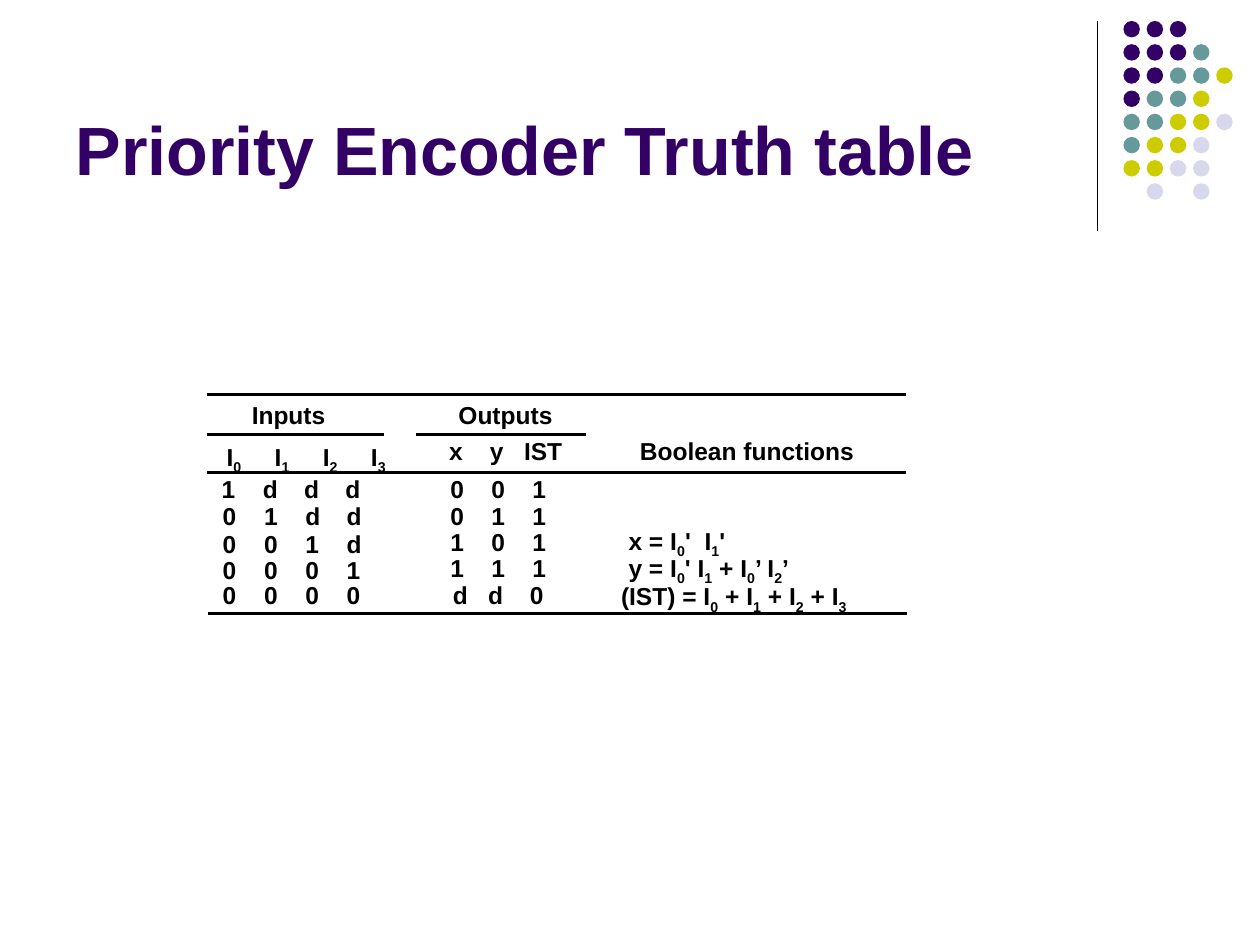
"""Build a slide with the truth table of a priority encoder."""
from lxml import etree
from pptx import Presentation
from pptx.dml.color import RGBColor
from pptx.enum.shapes import MSO_CONNECTOR, MSO_SHAPE
from pptx.enum.text import MSO_ANCHOR, PP_ALIGN
from pptx.oxml.ns import qn
from pptx.util import Pt

STRAIGHT = MSO_CONNECTOR.STRAIGHT
OVAL = MSO_SHAPE.OVAL
BOTTOM = MSO_ANCHOR.BOTTOM
LEFT = PP_ALIGN.LEFT
FONT = "Arial"
COLORS = {"black": "000000", "P": "330066", "T": "669999", "Y": "CCCC00", "L": "D8D8EC"}
DOT_ROWS = ["PPP", "PPPT", "PPTTY", "PTTY", "TTYYL", "TYYL", "YYLL", " L L"]
LINE_HEIGHT, TALL_HEIGHT, SUBSCRIPT_HEIGHT = 22.3, 37.4, 24.5
INPUT_STOPS = (23.6, 47.2, 70.8)
OUTPUT_STOPS = (23.4, 46.8)
INPUT_ROWS = [
    (119.5, 269.3, TALL_HEIGHT, "1\td\td\td"),
    (120.2, 284.4, TALL_HEIGHT, "0\t1\td\td"),
    (120.2, 300.6, TALL_HEIGHT, "0\t0\t1\td"),
    (120.2, 315.7, LINE_HEIGHT, "0\t0\t0\t1"),
    (120.2, 329.8, LINE_HEIGHT, "0\t0\t0\t0"),
]
OUTPUT_ROWS = [
    (269.3, TALL_HEIGHT, "0\t0\t1"),
    (284.4, TALL_HEIGHT, "0\t1\t1"),
    (299.5, TALL_HEIGHT, "1\t0\t1"),
    (314.6, LINE_HEIGHT, "1\t1\t1"),
]
FUNCTIONS = [
    (352.1, 297.4, 71, "x = I_0'\tI_1'", (43.4,)),
    (352.1, 312.5, 108, "y = I_0' I_1 + I_0’ I_2’", ()),
    (347.8, 329, 153, "(IST) = I_0 + I_1 + I_2 + I_3", ()),
]
HEADINGS = [
    (136.8, 226.8, 58, "Inputs"),
    (254.9, 226.8, 70, "Outputs"),
    (358.6, 247.7, 138, "Boolean functions"),
]
RULES = [
    (118.1, 517.7, 225.4),
    (118.1, 219.6, 248.4),
    (237.6, 334.8, 248.4),
    (118.1, 517.7, 270),
    (118.8, 518.4, 350.6),
]


def color(name):
    return RGBColor.from_string(COLORS[name])


def add_span(para, text, size, shade):
    span = para.add_run()
    span.text = text
    span.font.name = FONT
    span.font.size = Pt(size)
    span.font.bold = True
    span.font.color.rgb = color(shade)
    return span


def add_subscript(para, text):
    span = add_span(para, text, 14, "black")
    span._r.get_or_add_rPr().set("baseline", "-25000")


def add_stops(para, stops):
    tab_list = etree.SubElement(para._p.get_or_add_pPr(), qn("a:tabLst"))
    for stop in stops:
        etree.SubElement(tab_list, qn("a:tab"), pos=str(int(Pt(stop))), algn="l")


def add_label(page, left, top, width, height, text, stops=()):
    """Add bold text in which an underscore makes the next character a subscript."""
    box = page.shapes.add_textbox(Pt(left), Pt(top), Pt(width), Pt(height))
    box.text_frame.word_wrap = True
    para = box.text_frame.paragraphs[0]
    para.line_spacing = 0.9
    if stops:
        add_stops(para, stops)
    first, *pieces = text.split("_")
    add_span(para, first, 14, "black")
    for piece in pieces:
        add_subscript(para, piece[0])
        if piece[1:]:
            add_span(para, piece[1:], 14, "black")


def add_line(page, x1, y1, x2, y2, width):
    line = page.shapes.add_connector(STRAIGHT, Pt(x1), Pt(y1), Pt(x2), Pt(y2))
    line.line.color.rgb = color("black")
    line.line.width = Pt(width)
    etree.SubElement(line._element.spPr, qn("a:effectLst"))


def add_dots(page):
    pitch, size = 13.25, 9.4
    for row, shades in enumerate(DOT_ROWS):
        for column, shade in enumerate(shades):
            if shade == " ":
                continue
            dot = page.shapes.add_shape(
                OVAL, Pt(642 + column * pitch), Pt(12 + row * pitch), Pt(size), Pt(size))
            dot.shadow.inherit = False
            dot.fill.solid()
            dot.fill.fore_color.rgb = color(shade)
            dot.line.fill.background()


def add_title(page, text):
    title = page.shapes.title
    title.left, title.top, title.width, title.height = Pt(36), Pt(9.4), Pt(594), Pt(102.2)
    title.text_frame.vertical_anchor = BOTTOM
    title.text_frame.word_wrap = True
    para = title.text_frame.paragraphs[0]
    para.alignment = LEFT
    add_span(para, text, 39, "P")


def add_truth_table(page):
    for left, top, height, text in INPUT_ROWS:
        add_label(page, left, top, 96, height, text, INPUT_STOPS)
    for index in range(4):
        add_label(page, 122.4 + index * 27.5, 249.1, 25, SUBSCRIPT_HEIGHT, f"I_{index}")
    for top, height, text in OUTPUT_ROWS:
        add_label(page, 250.3, top, 71, height, text, OUTPUT_STOPS)
    add_label(page, 251.7, 329.8, 69, LINE_HEIGHT, "d\td\t0", (20.2, 44))
    add_label(page, 249.6, 247.7, 82, LINE_HEIGHT, "x\ty\tIST", (23.3, 42.8))
    for left, top, width, text, stops in FUNCTIONS:
        add_label(page, left, top, width, SUBSCRIPT_HEIGHT, text, stops)
    for left, top, width, text in HEADINGS:
        add_label(page, left, top, width, LINE_HEIGHT, text)
    for start, end, height in RULES:
        add_line(page, start, height, end, height, 2)


def main():
    deck = Presentation()
    deck.slide_width, deck.slide_height = Pt(720), Pt(540)
    page = deck.slides.add_slide(deck.slide_layouts[5])
    add_line(page, 627.1, 12.2, 627.1, 131.8, 0.75)
    add_dots(page)
    add_title(page, "Priority Encoder Truth table")
    add_truth_table(page)
    deck.save("out.pptx")


if __name__ == "__main__":
    main()
